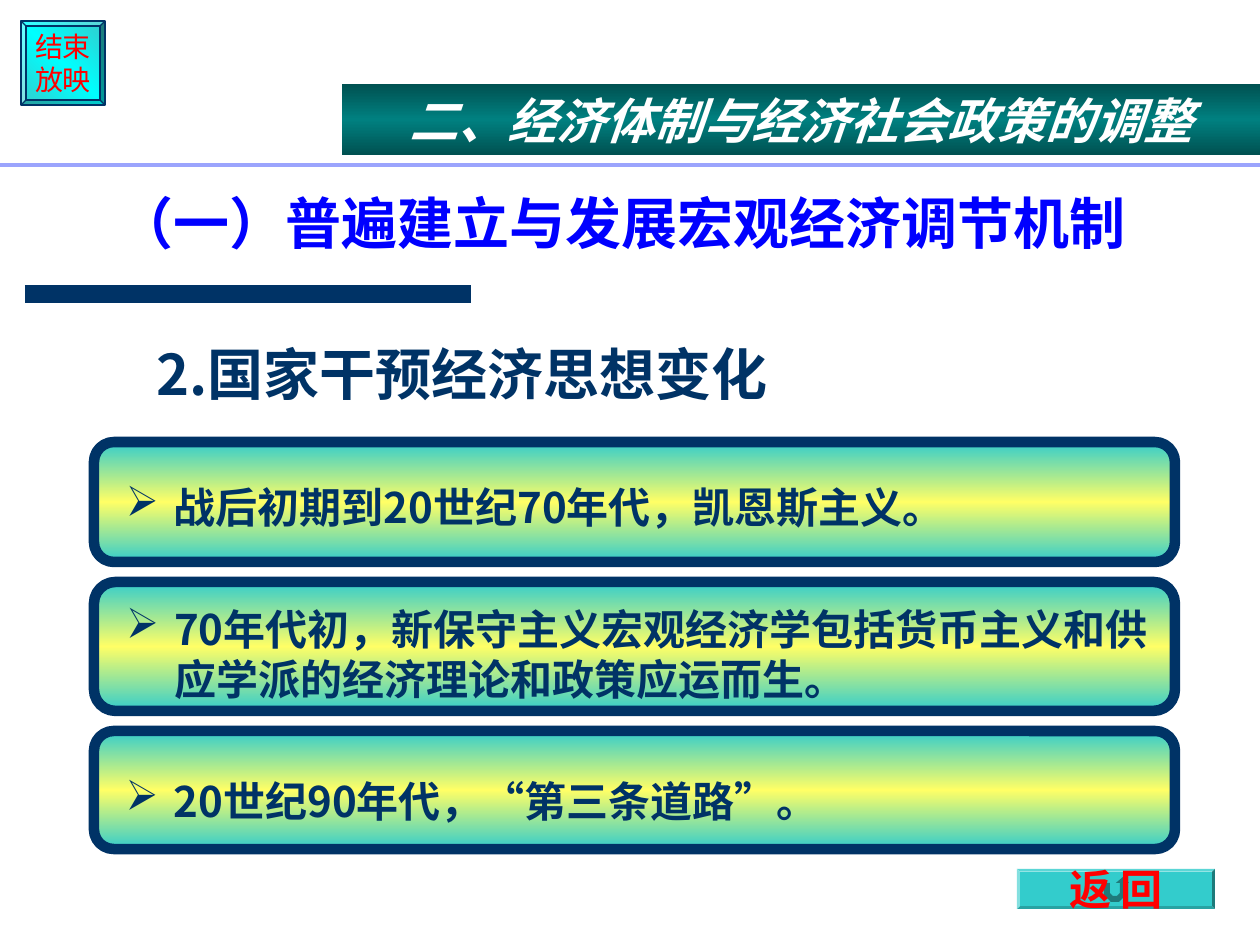
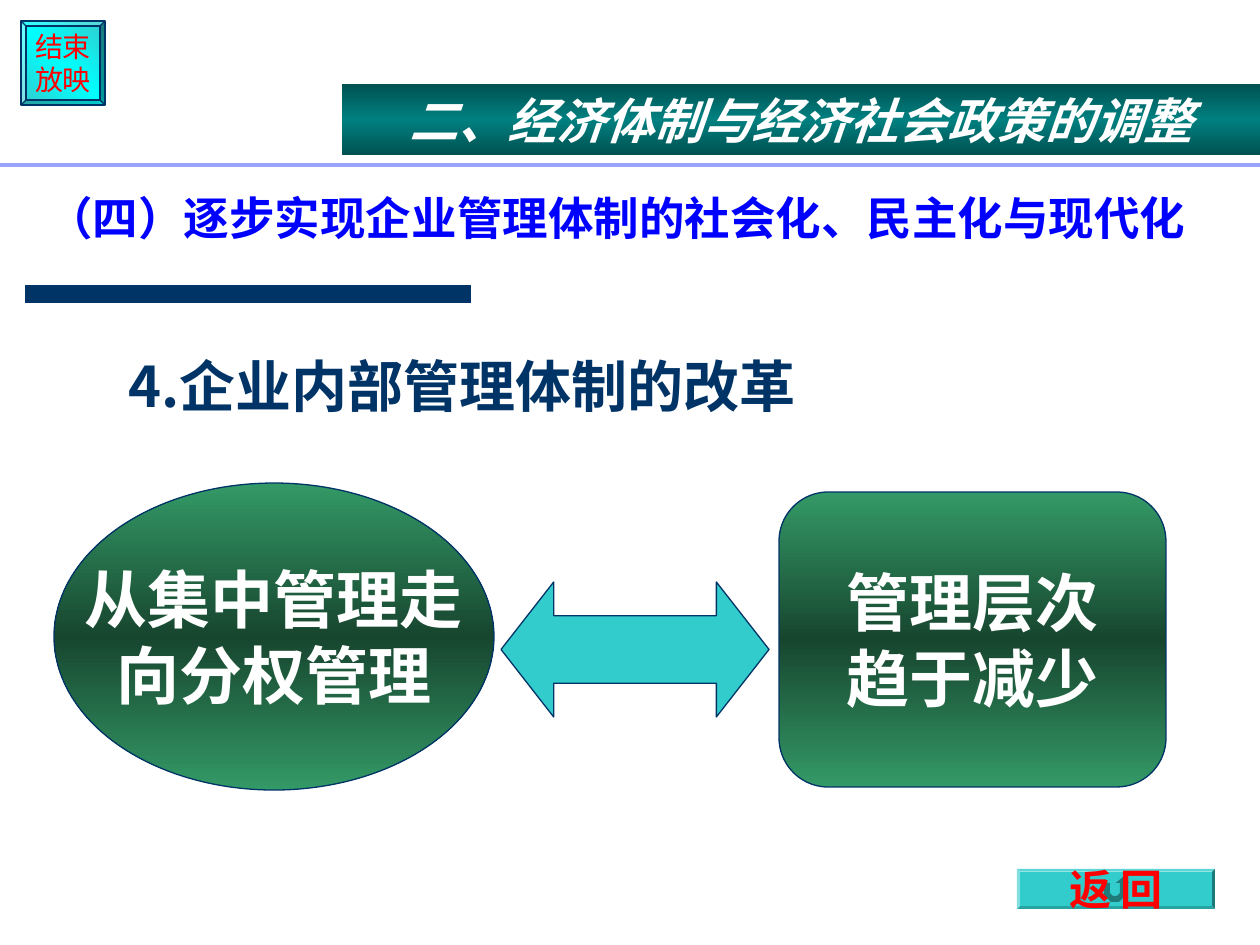
"""Build two slides on the reform of economic systems and policy."""
from copy import deepcopy
from dataclasses import dataclass

from lxml.etree import SubElement as Sub
from pptx import Presentation as Deck
from pptx.dml.color import RGBColor as Rgb
from pptx.enum.shapes import MSO_CONNECTOR as Link, MSO_SHAPE as Kind
from pptx.enum.text import MSO_ANCHOR as Anchor, PP_ALIGN as Align
from pptx.oxml.ns import qn
from pptx.util import Emu, Pt


@dataclass(frozen=True)
class Theme:
    navy: str = "003366"
    blue: str = "0000FF"
    red: str = "FF0000"
    white: str = "FFFFFF"
    aqua: str = "33CCCC"
    deep: str = "1F7A7A"
    rule: str = "9BA4FD"
    glow: tuple = ("33CCCC", "00FFFF", "33CCCC")
    band: tuple = ("005151", "008080", "005151")
    card: tuple = ("33CCCC", "FFFF66", "33CCCC")
    leaf: tuple = ("339966", "17462F", "339966")
    sans: str = "Noto Sans CJK SC"
    plain: str = "Arial"
    small: int = 16
    body: int = 24
    tight: int = 26
    title: int = 28
    head: int = 32
    large: int = 36


T = Theme()


def px(num):
    return Emu(round(num * 914400 / 126))


def paint(shape, fill, angle=90):
    if isinstance(fill, str):
        shape.fill.solid()
        shape.fill.fore_color.rgb = Rgb.from_string(fill)
        return
    shape.fill.gradient()
    shape.fill.gradient_angle = angle
    stops = shape._element.spPr.find(".//" + qn("a:gsLst"))
    stops.append(deepcopy(stops[0]))
    for spot, (stop, tone) in enumerate(zip(shape.fill.gradient_stops, fill)):
        stop.position = spot / 2
        stop.color.rgb = Rgb.from_string(tone)


def trim(shape, fill, line=None, width=0.75, angle=90):
    shape.shadow.inherit = False
    paint(shape, fill, angle)
    if line:
        shape.line.color.rgb = Rgb.from_string(line)
        shape.line.width = Pt(width)
    else:
        shape.line.fill.background()
    return shape


def block(slide, kind, box, fill, line=None, width=0.75, adj=(), angle=90):
    shape = slide.shapes.add_shape(kind, *map(px, box))
    for spot, value in enumerate(adj):
        shape.adjustments[spot] = value
    return trim(shape, fill, line, width, angle)


def stroke(slide, left, right, top, tone, width):
    line = slide.shapes.add_connector(Link.STRAIGHT, px(left), px(top), px(right), px(top))
    line.line.color.rgb = Rgb.from_string(tone)
    line.line.width = Pt(width)
    Sub(line._element.spPr, qn("a:effectLst"))


def write(shape, lines, size, tone, font=T.sans, bold=True, slant=False,
          align=Align.CENTER, anchor=Anchor.MIDDLE, wrap=False, space=None):
    frame = shape.text_frame
    frame.word_wrap = wrap
    frame.vertical_anchor = anchor
    for spot, text in enumerate(lines):
        para = frame.add_paragraph() if spot else frame.paragraphs[0]
        para.alignment = align
        if space:
            para.line_spacing = space
        run = para.add_run()
        run.text = text
        face = run.font
        face.name, face.size, face.bold, face.italic = font, Pt(size), bold, slant
        face.color.rgb = Rgb.from_string(tone)
        if font == T.sans:
            Sub(run._r.rPr, qn("a:ea"), typeface=font)


def label(slide, box, text, size, tone, **style):
    style = {"align": Align.LEFT, "anchor": Anchor.TOP, "wrap": True} | style
    write(slide.shapes.add_textbox(*map(px, box)), [text], size, tone, **style)


def bullet(para, mark, tone, indent):
    props = para._p.get_or_add_pPr()
    props.set("marL", str(indent))
    props.set("indent", str(-indent))
    Sub(Sub(props, qn("a:buClr")), qn("a:srgbClr"), val=tone)
    Sub(props, qn("a:buChar"), char=mark)


def card(slide, top, height, drop, text):
    shape = block(slide, Kind.ROUNDED_RECTANGLE, (94, top, 1081, height), T.card, T.navy, 6)
    frame = shape.text_frame
    frame.margin_left, frame.margin_right = px(26), px(9)
    frame.margin_top, frame.margin_bottom = px(2 * drop), 0
    bullet(frame.paragraphs[0], "➢", T.navy, px(48))
    write(shape, [text], T.body, T.navy, align=Align.LEFT, wrap=True)


def back(slide):
    box = (1017, 869, 198, 40)
    block(slide, Kind.BEVEL, box, T.aqua, adj=[0.07])
    turn = ((1104, 883), (1110, 883), (1110, 893), (1113, 896), (1117, 896), (1120, 893),
            (1120, 883), (1116, 883), (1123, 877), (1129, 883), (1126, 883), (1126, 895),
            (1119, 902), (1111, 902), (1104, 895))
    pen = slide.shapes.build_freeform(*turn[0], scale=px(1))
    pen.add_line_segments(turn[1:])
    trim(pen.convert_to_shape(), T.deep)
    label(slide, box, "返 回", T.body, T.red, font=T.plain,
          align=Align.CENTER, anchor=Anchor.MIDDLE, wrap=False)


def base(deck, head, box, size):
    slide = deck.slides.add_slide(deck.slide_layouts[6])
    stroke(slide, 25, 471, 294, T.navy, 10)
    stop = block(slide, Kind.BEVEL, (21, 21, 84, 84), T.glow, T.navy, adj=[0.06], angle=225)
    write(stop, ["结束", "放映"], T.small, T.red, T.plain, bold=False)
    band = block(slide, Kind.RECTANGLE, (342, 84, 918, 71), T.band)
    write(band, ["二、经济体制与经济社会政策的调整"], T.title, T.white,
          slant=True, anchor=Anchor.TOP, wrap=True)
    stroke(slide, 0, 1260, 165, T.rule, 1.75)
    label(slide, box, head, size, T.blue, anchor=Anchor.BOTTOM, space=0.9)
    back(slide)
    return slide


def ideas(deck):
    slide = base(deck, "（一）普遍建立与发展宏观经济调节机制", (105, 126, 1072, 137), T.head)
    label(slide, (144, 333, 704, 81), "2.国家干预经济思想变化", T.head, T.navy)
    cards = (
        (120, 5, "战后初期到20世纪70年代，凯恩斯主义。"),
        (129, 7, "70年代初，新保守主义宏观经济学包括货币主义和供应学派的经济理论和政策应运而生。"),
        (118, 11, "20世纪90年代，“第三条道路”。"),
    )
    top = 442
    for height, drop, text in cards:
        card(slide, top, height, drop, text)
        top += height + 20


def reform(deck):
    slide = base(deck, "（四）逐步实现企业管理体制的社会化、民主化与现代化", (35, 115, 1171, 137), T.tight)
    label(slide, (116, 345, 793, 107), "4.企业内部管理体制的改革", T.head, T.navy)
    block(slide, Kind.LEFT_RIGHT_ARROW, (501, 582, 268, 135), T.aqua, T.navy, adj=[0.5, 0.39])
    sides = (
        (Kind.OVAL, (54, 483, 440, 307), ["从集中管理走", "向分权管理"]),
        (Kind.ROUNDED_RECTANGLE, (779, 492, 387, 295), ["管理层次", "趋于减少"]),
    )
    for kind, box, lines in sides:
        shape = block(slide, kind, box, T.leaf, T.navy)
        write(shape, lines, T.large, T.white, T.plain)


def main():
    deck = Deck()
    deck.slide_width, deck.slide_height = px(1260), px(945)
    ideas(deck)
    reform(deck)
    deck.save("out.pptx")


if __name__ == "__main__":
    main()
